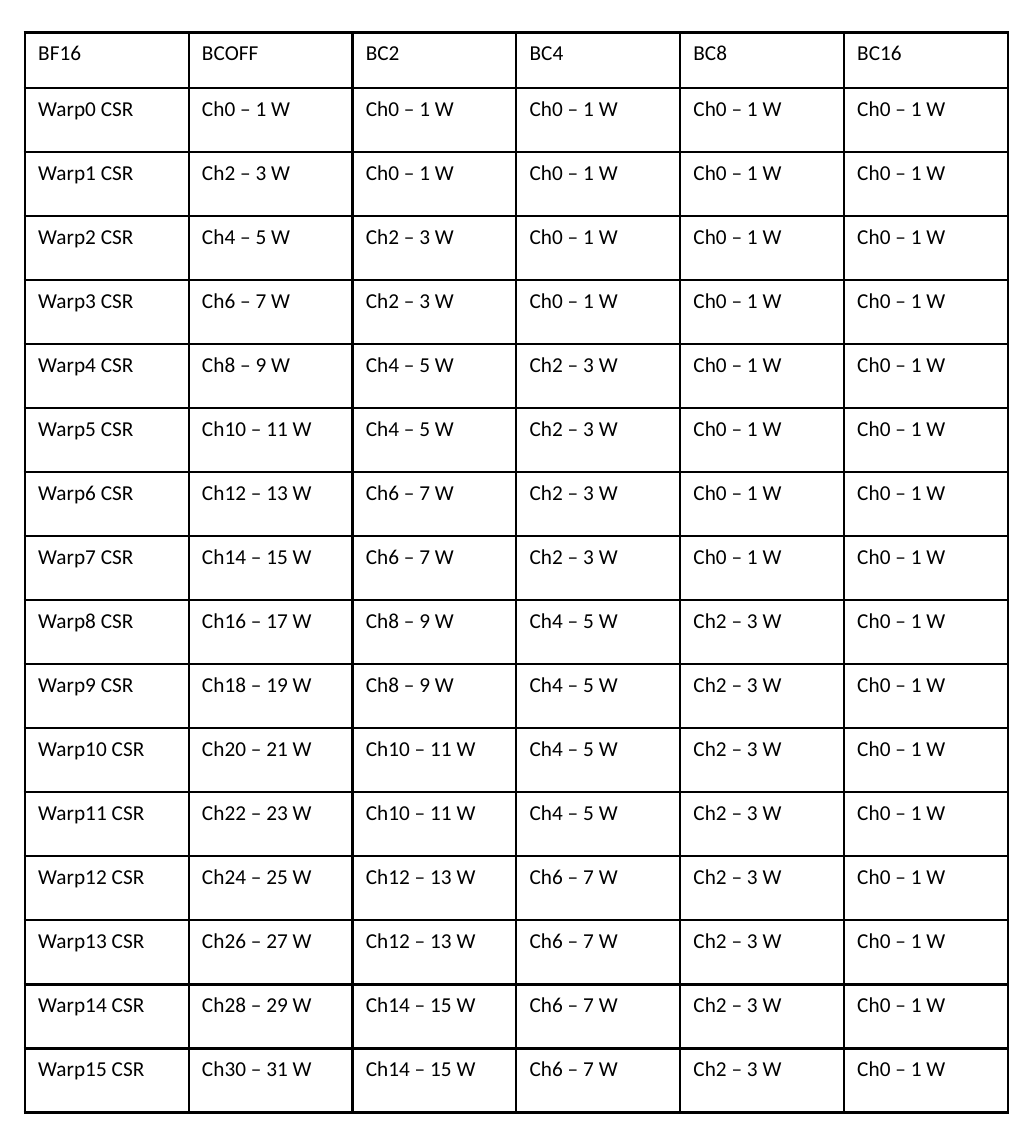
from lxml import etree
from pptx import Presentation, util as u
from pptx.dml.color import RGBColor
from pptx.oxml import ns


def tint(code):
    return RGBColor.from_string(code)


def edge(cell, side, pts, code):
    line = etree.SubElement(cell._tc.get_or_add_tcPr(), ns.qn(f"a:{side}"), w=str(u.Pt(pts)))
    fill = etree.SubElement(line, ns.qn("a:solidFill"))
    etree.SubElement(fill, ns.qn("a:srgbClr"), val=code)


deck = Presentation()
deck.slide_width = u.Inches(5.4)
deck.slide_height = u.Inches(6)
page = deck.slides.add_slide(deck.slide_layouts[6])

ink, paper = "000000", "FFFFFF"
modes = {"BCOFF": 1, "BC2": 2, "BC4": 4, "BC8": 8, "BC16": 16}
warps = 16
grid = [["BF16", *modes]]
for warp in range(warps):
    firsts = [warp // size * 2 for size in modes.values()]
    grid.append([f"Warp{warp} CSR"] + [f"Ch{ch} – {ch + 1} W" for ch in firsts])

left, top, wide = u.Inches(0.13), u.Inches(0.17), u.Inches(5.14)
head = u.Inches(0.29)
step = (u.Inches(5.65) - head) // warps
table = page.shapes.add_table(
    len(grid), len(grid[0]), left, top, wide, head + step * warps
).table
for name, value in {"first_row": False, "horz_banding": False}.items():
    setattr(table, name, value)
for col in table.columns:
    col.width = wide // len(grid[0])
for row in table.rows:
    row.height = step
table.rows[0].height = head

inset = {
    "margin_left": u.Inches(0.07),
    "margin_right": u.Inches(0.07),
    "margin_top": u.Inches(0.04),
    "margin_bottom": u.Inches(0.04),
}
face = {"name": "Calibri", "size": u.Pt(8), "bold": False}
for r, words in enumerate(grid):
    for c, word in enumerate(words):
        cell = table.cell(r, c)
        for name, value in inset.items():
            setattr(cell, name, value)
        for side in ("lnL", "lnR", "lnT", "lnB"):
            edge(cell, side, 1, ink)
        if r == 0 and c > 1:
            cell.fill.background()
        else:
            cell.fill.solid()
            cell.fill.fore_color.rgb = tint(paper)
        run = cell.text_frame.paragraphs[0].add_run()
        run.text = word
        for name, value in face.items():
            setattr(run.font, name, value)
        run.font.color.rgb = tint(ink)

deck.save("out.pptx")
